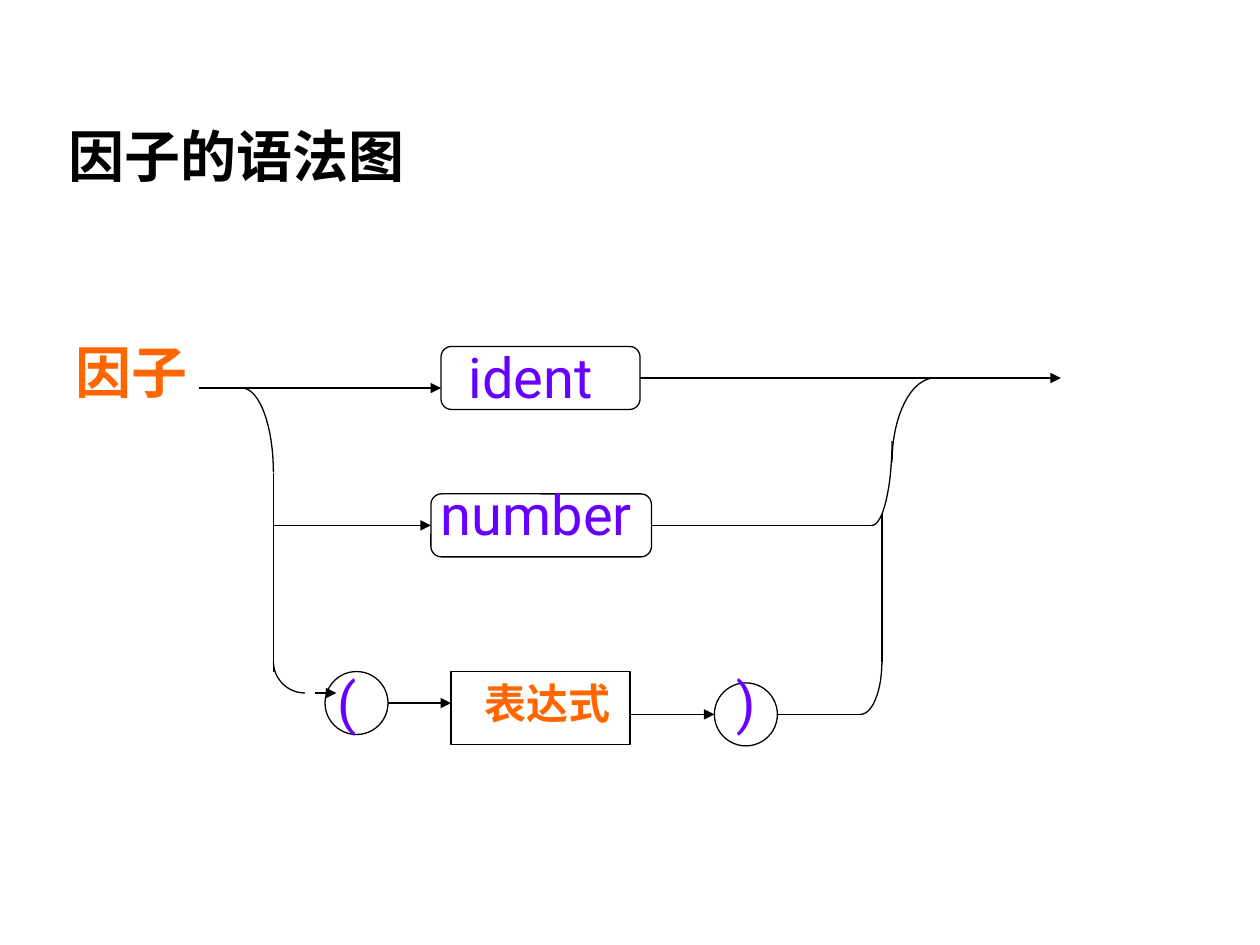
from math import cos, pi, sin

from pptx import Presentation
from pptx.dml.color import RGBColor
from pptx.enum.shapes import MSO_CONNECTOR as CONNECTOR, MSO_SHAPE as SHAPE
from pptx.enum.text import MSO_ANCHOR as ANCHOR, PP_ALIGN as ALIGN
from pptx.oxml.ns import qn
from pptx.util import Inches, Pt
from lxml.etree import SubElement

BLACK = RGBColor(0x00, 0x00, 0x00)
ORANGE = RGBColor(0xFF, 0x66, 0x00)
VIOLET = RGBColor(0x66, 0x00, 0xFF)
CHINESE = "Noto Sans CJK SC"
LATIN = "Roboto"
CURVE_STEPS = 16


def write(shape, text, size, font_name, color, bold):
    text_frame = shape.text_frame
    text_frame.word_wrap = True
    text_frame.text = text
    paragraph = text_frame.paragraphs[0]
    paragraph.alignment = ALIGN.LEFT
    font = paragraph.runs[0].font
    font.size = Pt(size)
    font.bold = bold
    font.color.rgb = color
    font.name = font_name
    SubElement(font._element, qn("a:ea")).set("typeface", font_name)


def outline(shape):
    shape.shadow.inherit = False
    shape.fill.background()
    shape.line.color.rgb = BLACK
    shape.line.width = Pt(0.75)


presentation = Presentation()
presentation.slide_width = Inches(10)
presentation.slide_height = Inches(7.5)
slide = presentation.slides.add_slide(presentation.slide_layouts[5])
shapes = slide.shapes

title = shapes.title
title.left, title.top = Inches(0.44), Inches(0.58)
title.width, title.height = Inches(8.5), Inches(0.92)
write(title, "因子的语法图", 32, CHINESE, BLACK, True)
title.text_frame.vertical_anchor = ANCHOR.BOTTOM
title.text_frame.margin_bottom = 0

symbols = [
    (SHAPE.ROUNDED_RECTANGLE, 3.5, 2.75, 1.58, 0.5),
    (SHAPE.ROUNDED_RECTANGLE, 3.42, 3.92, 1.75, 0.5),
    (SHAPE.OVAL, 2.58, 5.33, 0.5, 0.5),
    (SHAPE.RECTANGLE, 3.58, 5.33, 1.42, 0.58),
    (SHAPE.OVAL, 5.67, 5.42, 0.5, 0.5),
]
for kind, *box in symbols:
    outline(shapes.add_shape(kind, *map(Inches, box)))

labels = [
    ("因子", 0.5, 2.63, 1.3, 0.74, 32, CHINESE, ORANGE, True),
    ("ident", 3.62, 2.67, 1.27, 0.64, 32, LATIN, VIOLET, False),
    ("number", 3.4, 3.76, 1.87, 0.64, 32, LATIN, VIOLET, False),
    ("(", 2.58, 5.25, 0.42, 0.64, 32, LATIN, VIOLET, False),
    ("表达式", 3.75, 5.33, 1.3, 0.6, 24, CHINESE, ORANGE, True),
    (")", 5.75, 5.25, 0.5, 0.64, 32, LATIN, VIOLET, False),
]
for text, left, top, width, height, *style in labels:
    label = shapes.add_textbox(Inches(left), Inches(top), Inches(width), Inches(height))
    write(label, text, *style)

tracks = [
    (1.58, 3.08, 3.5, 3.08, True),
    (5.08, 3, 8.42, 3, True),
    (2.17, 3.75, 2.17, 5.33, False),
    (2.17, 4.17, 3.42, 4.17, True),
    (5.17, 4.17, 6.92, 4.17, False),
    (2.5, 5.5, 2.67, 5.5, True),
    (3.08, 5.58, 3.58, 5.58, True),
    (5, 5.67, 5.67, 5.67, True),
    (6.17, 5.67, 6.83, 5.67, False),
    (7, 4.58, 7, 5.25, False),
    (7, 4.58, 7, 4.08, False),
]
for *ends, has_arrow in tracks:
    track = shapes.add_connector(CONNECTOR.STRAIGHT, *map(Inches, ends))
    track.line.color.rgb = BLACK
    track.line.width = Pt(0.75)
    if has_arrow:
        SubElement(track.line._get_or_add_ln(), qn("a:tailEnd")).set("type", "triangle")
    SubElement(track._element.spPr, qn("a:effectLst"))

bends = [
    (1.92, 3.08, 2.17, 3.75),
    (2.42, 5.5, 2.17, 5.25),
    (6.83, 5.67, 7, 5.25),
    (6.92, 4.17, 7.08, 3.5),
    (7.42, 3, 7.08, 3.67),
]
for start_x, start_y, end_x, end_y in bends:
    points = []
    for step in range(CURVE_STEPS + 1):
        angle = pi / 2 * step / CURVE_STEPS
        x = start_x + (end_x - start_x) * sin(angle)
        y = end_y + (start_y - end_y) * cos(angle)
        points.append((Inches(x), Inches(y)))
    builder = shapes.build_freeform(*points[0])
    builder.add_line_segments(points[1:], close=False)
    outline(builder.convert_to_shape())

presentation.save("out.pptx")
